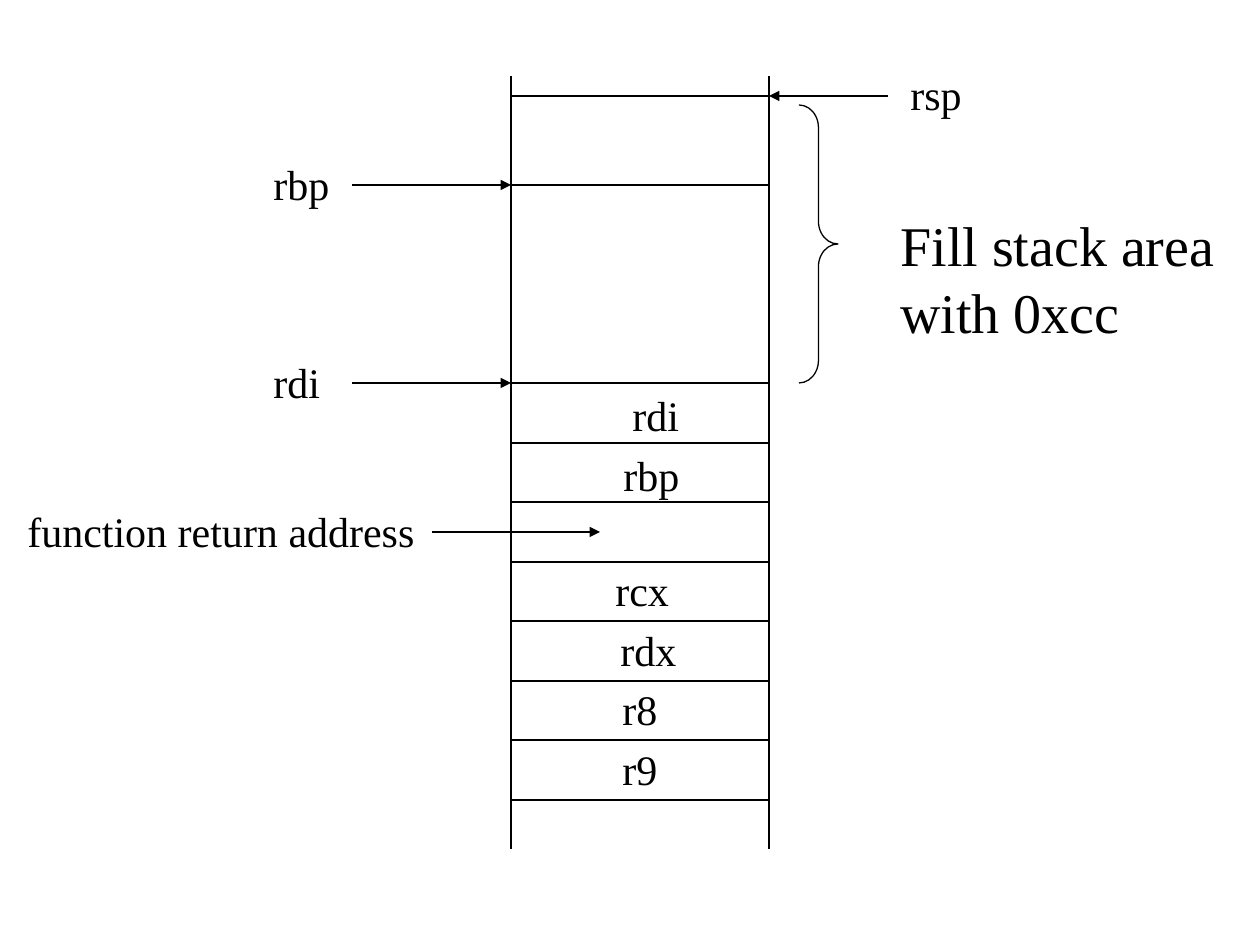
from dataclasses import dataclass

from lxml import etree
from pptx import Presentation
from pptx.dml.color import RGBColor
from pptx.enum.shapes import MSO_CONNECTOR, MSO_SHAPE
from pptx.oxml.ns import qn
from pptx.slide import Slide
from pptx.util import Emu, Pt

STRAIGHT = MSO_CONNECTOR.STRAIGHT
BRACE = MSO_SHAPE.RIGHT_BRACE
DPI = 126
LEFT, RIGHT = 511, 769
TOP, BASE = 76, 849
RSP, RBP, RDI, LAST = 96, 185, 383, 800
ROWS = 7


@dataclass(frozen=True)
class Theme:
    ink: RGBColor = RGBColor(0, 0, 0)
    font: str = "Times New Roman"
    label: int = 24
    note: int = 32
    line: float = 0.75


@dataclass(frozen=True)
class Label:
    text: str
    x: int
    y: int
    w: int
    h: int = 63
    size: int = Theme.label
    wrap: bool = False


@dataclass(frozen=True)
class Line:
    x1: int
    y1: int
    x2: int
    y2: int
    arrow: bool = False


THEME = Theme()


def px(n: int) -> Emu:
    return Emu(round(n * 914400 / DPI))


def row(i: int) -> int:
    return RDI + round(i * (LAST - RDI) / ROWS)


def draw_line(slide: Slide, item: Line) -> None:
    ends = (px(n) for n in (item.x1, item.y1, item.x2, item.y2))
    link = slide.shapes.add_connector(STRAIGHT, *ends)
    link.line.color.rgb = THEME.ink
    link.line.width = Pt(THEME.line)
    if item.arrow:
        stroke = link.get_or_add_ln()
        etree.SubElement(stroke, qn("a:tailEnd"), type="triangle")
    etree.SubElement(link._element.spPr, qn("a:effectLst"))


def draw_label(slide: Slide, item: Label) -> None:
    area = (px(n) for n in (item.x, item.y, item.w, item.h))
    frame = slide.shapes.add_textbox(*area).text_frame
    frame.word_wrap = item.wrap
    para = frame.paragraphs[0]
    run = para.add_run()
    run.text = item.text
    run.font.name = THEME.font
    run.font.size = Pt(item.size)
    run.font.color.rgb = THEME.ink


def draw_brace(slide: Slide, x: int, y: int, w: int, h: int) -> None:
    brace = slide.shapes.add_shape(BRACE, px(x), px(y), px(w), px(h))
    brace.shadow.inherit = False
    brace.fill.background()
    brace.line.color.rgb = THEME.ink
    brace.line.width = Pt(THEME.line)
    brace.adjustments[0] = 0.58
    brace.adjustments[1] = 0.5


SIDES = [Line(x, TOP, x, BASE) for x in (LEFT, RIGHT)]
RULES = [
    Line(LEFT, y, RIGHT, y)
    for y in (RSP, RBP, *(row(i) for i in range(ROWS + 1)))
]
ARROWS = [
    Line(888, RSP, RIGHT, RSP, True),
    Line(352, RBP, LEFT, RBP, True),
    Line(352, RDI, LEFT, RDI, True),
    Line(432, 532, 600, 532, True),
]
LABELS = [
    Label("rsp", 898, 62, 77),
    Label("rbp", 261, 152, 82),
    Label("rdi", 261, 350, 73),
    Label("function return address", 15, 499, 417, wrap=True),
    Label("rdi", 620, row(0), 73),
    Label("rbp", 611, row(1), 82),
    Label("rcx", 603, row(3) - 4, 82),
    Label("rdx", 608, row(4) - 3, 82),
    Label("r8", 610, row(5) - 4, 62),
    Label("r9", 610, row(6) - 3, 62),
    Label("Fill stack area with 0xcc", 888, 204, 348, 147, THEME.note, True),
]


def main() -> None:
    deck = Presentation()
    deck.slide_width, deck.slide_height = px(1260), px(945)
    slide = deck.slides.add_slide(deck.slide_layouts[6])
    for item in SIDES + RULES + ARROWS:
        draw_line(slide, item)
    for item in LABELS:
        draw_label(slide, item)
    draw_brace(slide, 799, 105, 39, 278)
    deck.save("out.pptx")


if __name__ == "__main__":
    main()
